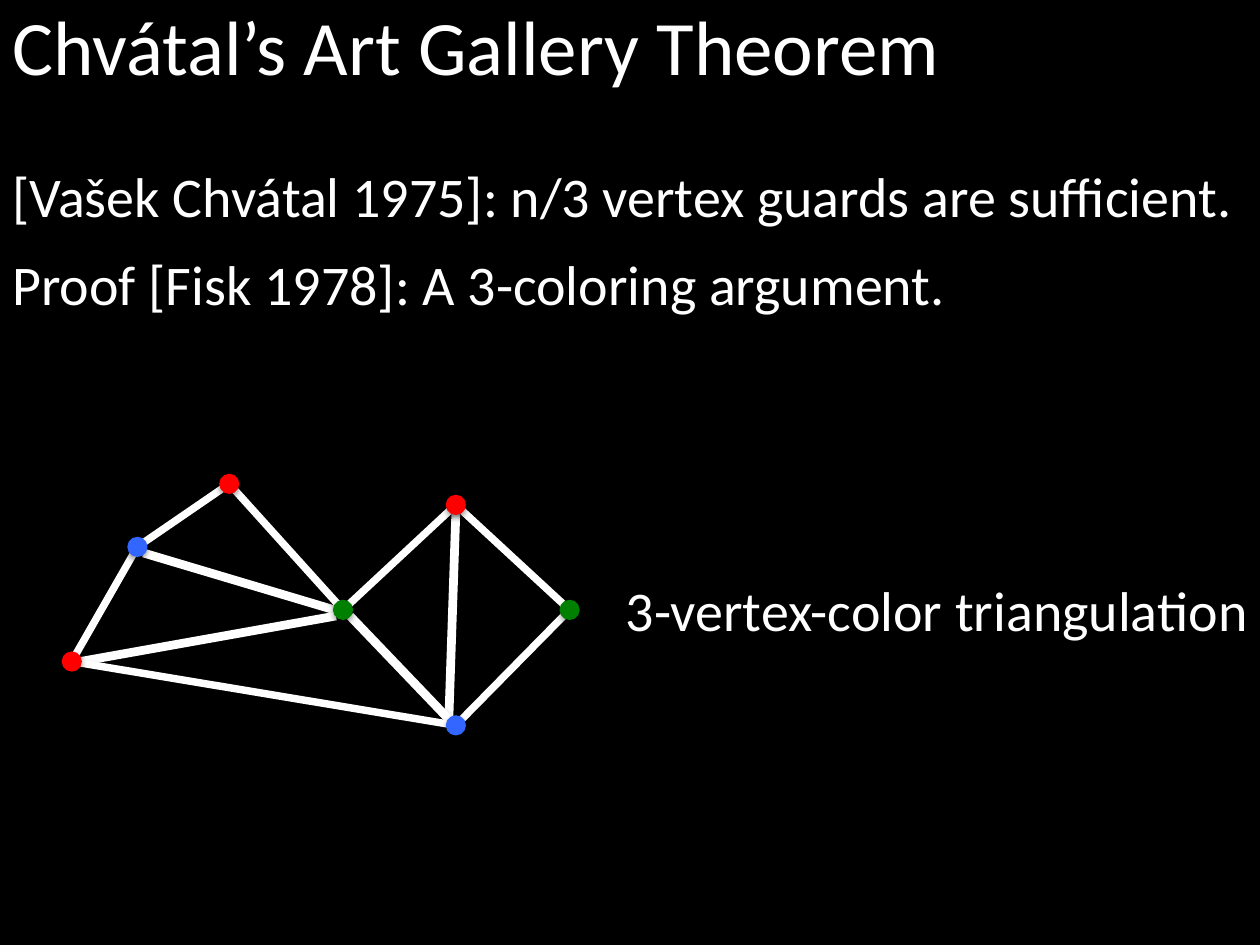
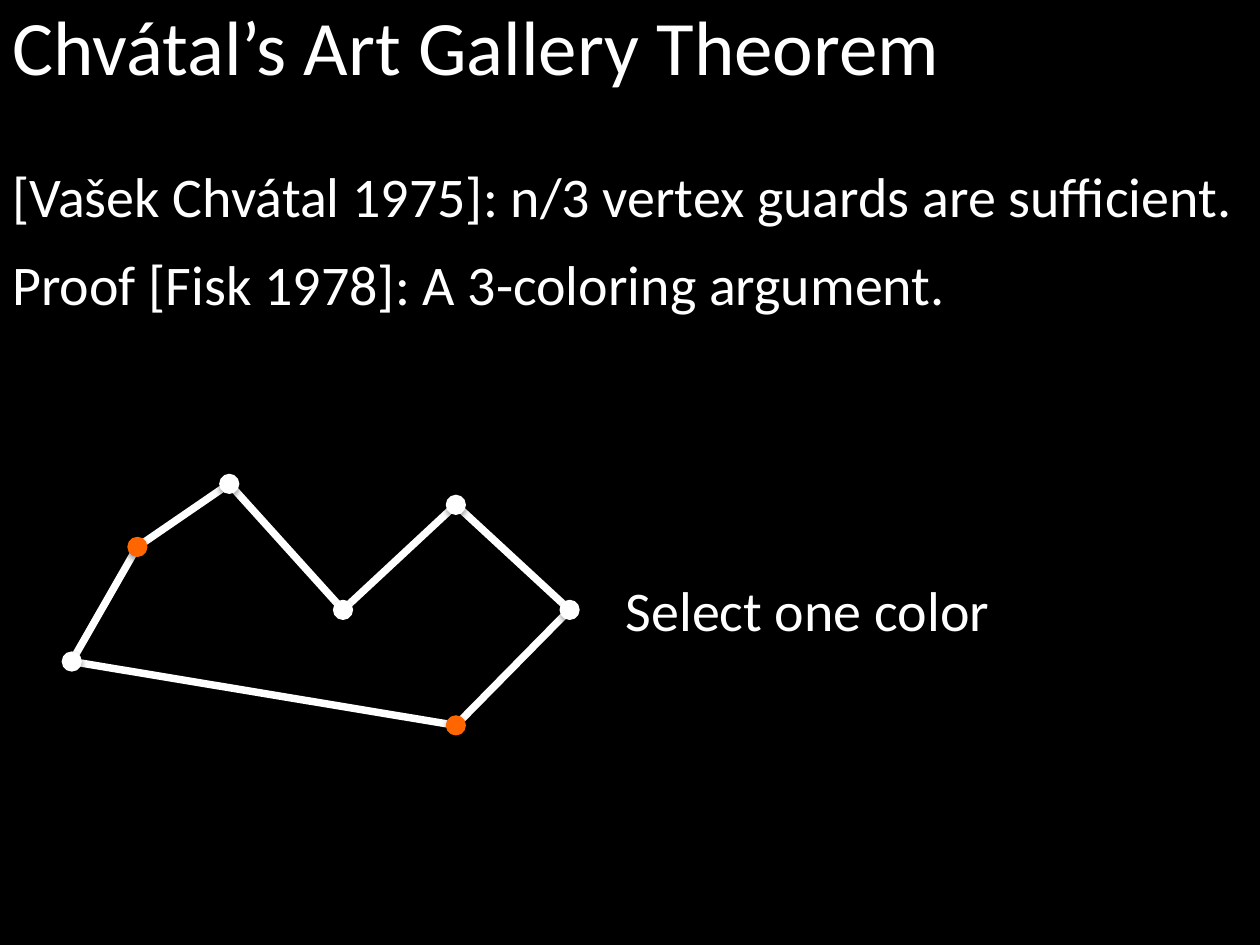
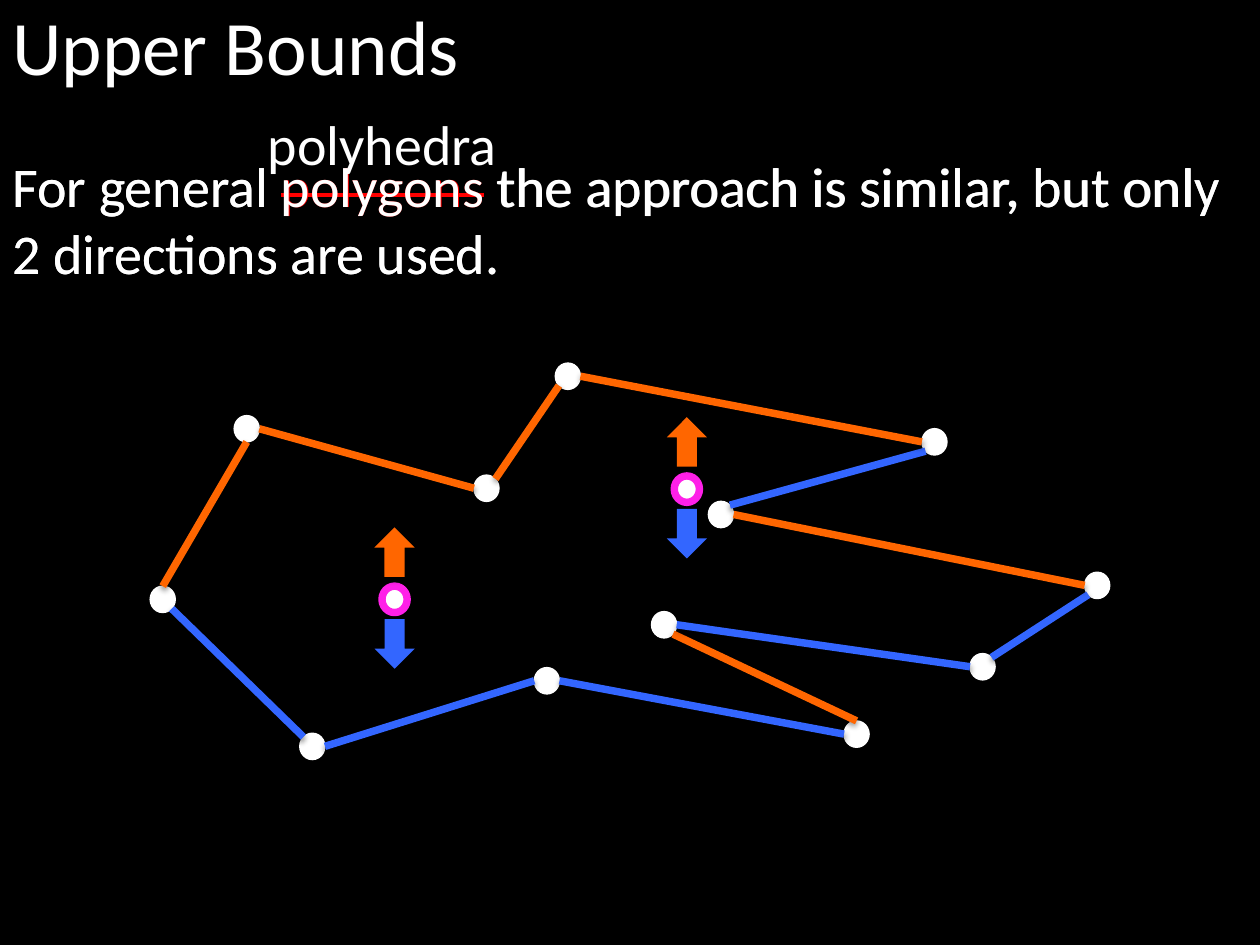
from lxml import etree
from pptx import Presentation
from pptx.dml.color import RGBColor
from pptx.enum import shapes as sh
from pptx.oxml import ns
from pptx.util import Pt

BLACK, WHITE, RED, GREEN = "000000", "FFFFFF", "FF0000", "008000"
BLUE, ORANGE, PINK = "3366FF", "FF6600", "FF20E8"
TITLE = dict(name="Calibri", size=Pt(44))
BODY = dict(name="Calibri", size=Pt(32))
WALL, DIAGONAL, OUTLINE = 4.25, 5, 0.75
GALLERY = (35, 270)
FLOOR_PLAN = (85, 205)

# Gallery corners, relative to the gallery box
CORNERS = dict(
    west=(6, 108), shoulder=(43.5, 42.5), peak=(96, 6.5), notch=(161, 78.5),
    crest=(225.5, 18.5), east=(290.5, 78.5), south=(225.5, 144.5))
OUTLINE_ORDER = ("west", "shoulder", "peak", "notch", "crest", "east", "south")
DIAGONALS = [((47, 46), (156, 78.5)), ((11, 108), (157, 82)),
             ((221.5, 141), (225.5, 23)), ((221.5, 141), (165, 82))]
THREE_COLORS = dict(west=RED, shoulder=BLUE, peak=RED, notch=GREEN,
                    crest=RED, east=GREEN, south=BLUE)
ONE_COLOR = dict(shoulder=ORANGE, south=ORANGE)

# Floor plan corners, relative to the plan box
PLAN_CORNERS = dict(
    west=(8, 137.5), northwest=(56, 40), notch=(193, 74), peak=(239.5, 10),
    northeast=(449, 47.5), upper_bay=(327, 89), east=(542, 129.5),
    southeast=(476.5, 176), lower_bay=(294.5, 152), tip=(404.5, 214.5),
    dip=(227.5, 184), southwest=(93.5, 221.5))
CORNER_SIZE = (14.4, 15.1)
# Each wall leaves one corner dot on a compass side and meets another
PLAN_WALLS = [
    ("northwest", "S", "west", "N", ORANGE),
    ("northwest", "E", "notch", "W", ORANGE),
    ("west", "SE", "southwest", "NW", BLUE),
    ("notch", "NE", "peak", "SW", ORANGE),
    ("upper_bay", "NE", "northeast", "SW", BLUE),
    ("east", "SW", "southeast", "NE", BLUE),
    ("northeast", "W", "peak", "E", ORANGE),
    ("upper_bay", "E", "east", "W", ORANGE),
    ("dip", "W", "southwest", "E", BLUE),
    ("dip", "E", "tip", "W", BLUE),
    ("tip", "N", "lower_bay", "SE", ORANGE),
    ("lower_bay", "E", "southeast", "W", BLUE)]
GUARDS = [(140.5, 137.5), (307.5, 74.5)]


def color(code):
    return RGBColor.from_string(code)


def shift(box, point):
    return box[0] + point[0], box[1] + point[1]


def add_shadow(shape, alpha):
    effects = etree.SubElement(shape._element.spPr, ns.qn("a:effectLst"))
    shadow = etree.SubElement(
        effects, ns.qn("a:outerShdw"), blurRad="40000", dist="21000",
        dir="5400000", rotWithShape="0")
    tone = etree.SubElement(shadow, ns.qn("a:srgbClr"), val=BLACK)
    etree.SubElement(tone, ns.qn("a:alpha"), val=str(alpha * 1000))


def add_wall(slide, start, end, tone=WHITE, width=WALL):
    wall = slide.shapes.add_connector(
        sh.MSO_CONNECTOR.STRAIGHT, *(Pt(v) for v in (*start, *end)))
    wall.line.color.rgb = color(tone)
    wall.line.width = Pt(width)
    add_shadow(wall, 38)


def add_mark(slide, kind, center, size, fill, outline=None, width=OUTLINE, turn=0):
    """Place a filled preset shape around its centre."""
    left, top = center[0] - size[0] / 2, center[1] - size[1] / 2
    mark = slide.shapes.add_shape(kind, *(Pt(v) for v in (left, top, *size)))
    mark.rotation = turn
    mark.fill.solid()
    mark.fill.fore_color.rgb = color(fill)
    if outline:
        mark.line.color.rgb = color(outline)
        mark.line.width = Pt(width)
    else:
        mark.line.fill.background()
    add_shadow(mark, 35)


def add_words(slide, box, paragraphs, style=BODY):
    """Each paragraph is a list of (words, colour, struck) runs."""
    frame = slide.shapes.add_textbox(*(Pt(v) for v in box)).text_frame
    frame.word_wrap = True
    for index, pieces in enumerate(paragraphs):
        line = frame.add_paragraph() if index else frame.paragraphs[0]
        for words, tone, struck in pieces:
            run = line.add_run()
            run.text = words
            for key, value in style.items():
                setattr(run.font, key, value)
            run.font.color.rgb = color(tone)
            if struck:
                run._r.get_or_add_rPr().set("strike", "sngStrike")


def plain(*lines):
    return [[(line, WHITE, False)] for line in lines]


def add_base(deck):
    slide = deck.slides.add_slide(deck.slide_layouts[6])
    slide.background.fill.solid()
    slide.background.fill.fore_color.rgb = color(BLACK)
    return slide


def add_title(slide, words):
    add_words(slide, (0, -4.3, 720, 60.5), plain(words), TITLE)


def draw_gallery(slide, box, tones, diagonals):
    for start, end in diagonals:
        add_wall(slide, shift(box, start), shift(box, end), width=DIAGONAL)
    for here, after in zip(OUTLINE_ORDER, OUTLINE_ORDER[1:] + OUTLINE_ORDER[:1]):
        add_wall(slide, shift(box, CORNERS[here]), shift(box, CORNERS[after]))
    for name, point in CORNERS.items():
        tone = tones.get(name, WHITE)
        add_mark(slide, sh.MSO_SHAPE.OVAL, shift(box, point), (10.8, 10.8), tone, tone)


def theorem_slide(deck, caption, tones, diagonals=()):
    slide = add_base(deck)
    draw_gallery(slide, GALLERY, tones, diagonals)
    add_words(slide, (350.5, 325.5, 407, 46), plain(caption))
    add_title(slide, "Chvátal’s Art Gallery Theorem")
    add_words(slide, (0, 88.5, 720, 46),
              plain("[Vašek Chvátal 1975]: n/3 vertex guards are sufficient."))
    add_words(slide, (0, 139, 670, 46),
              plain("Proof [Fisk 1978]: A 3-coloring argument."))


def corner_side(box, name, side):
    """Point where a wall touches the given side of a corner dot."""
    reach = 0.5 if len(side) == 1 else 0.5 ** 1.5
    across = ("E" in side) - ("W" in side)
    down = ("S" in side) - ("N" in side)
    offset = across * reach * CORNER_SIZE[0], down * reach * CORNER_SIZE[1]
    return shift(shift(box, PLAN_CORNERS[name]), offset)


def draw_floor_plan(slide, box):
    for point in PLAN_CORNERS.values():
        add_mark(slide, sh.MSO_SHAPE.OVAL, shift(box, point), CORNER_SIZE, WHITE, WHITE)
    for start, start_side, end, end_side, tone in PLAN_WALLS:
        add_wall(slide, corner_side(box, start, start_side),
                 corner_side(box, end, end_side), tone)


def draw_guard(slide, center):
    add_mark(slide, sh.MSO_SHAPE.OVAL, center, CORNER_SIZE, WHITE, PINK, WALL)
    for drop, tone, turn in ((25.5, BLUE, 90), (-27, ORANGE, 270)):
        add_mark(slide, sh.MSO_SHAPE.RIGHT_ARROW, shift(center, (0, drop)),
                 (28.3, 23), tone, turn=turn)


def bounds_slide(deck):
    slide = add_base(deck)
    statement = (0, 82.8, 720, 85)
    opening, subject, rest = "For general ", "polygons", " the approach is similar, but only"
    closing = "2 directions are used."
    # The struck word lies beneath the plain statement
    add_words(slide, statement, [
        [(opening, WHITE, False), (subject, RED, True), (rest, WHITE, False)],
        *plain(closing)])
    add_title(slide, "Upper Bounds")
    add_words(slide, statement, plain(opening + subject + rest, closing))
    draw_floor_plan(slide, FLOOR_PLAN)
    for post in GUARDS:
        draw_guard(slide, shift(FLOOR_PLAN, post))
    add_words(slide, (146, 59, 161, 46), plain("polyhedra"))


def main():
    deck = Presentation()
    deck.slide_width, deck.slide_height = Pt(720), Pt(540)
    theorem_slide(deck, "3-vertex-color triangulation", THREE_COLORS, DIAGONALS)
    theorem_slide(deck, "Select one color", ONE_COLOR)
    bounds_slide(deck)
    deck.save("out.pptx")


if __name__ == "__main__":
    main()
